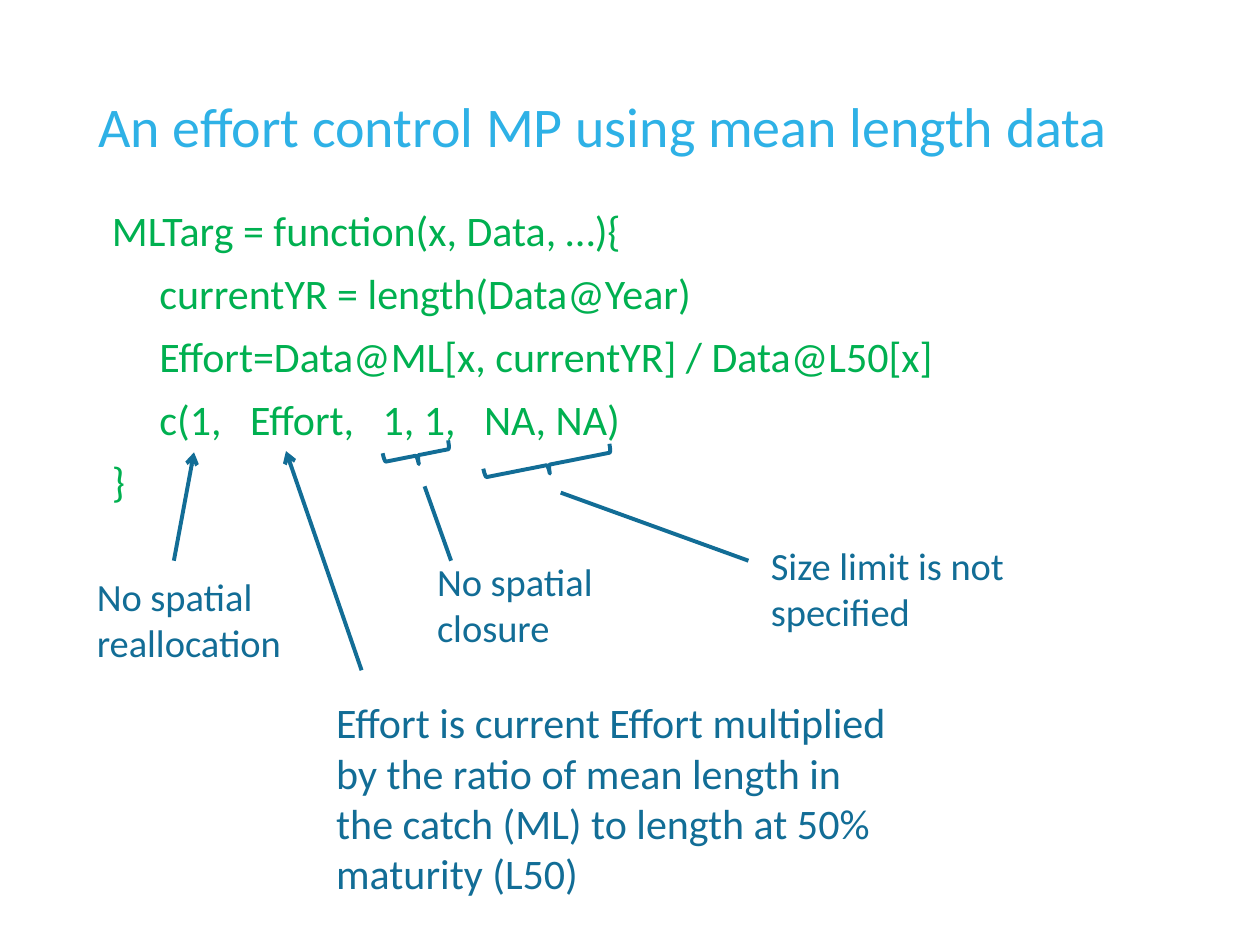
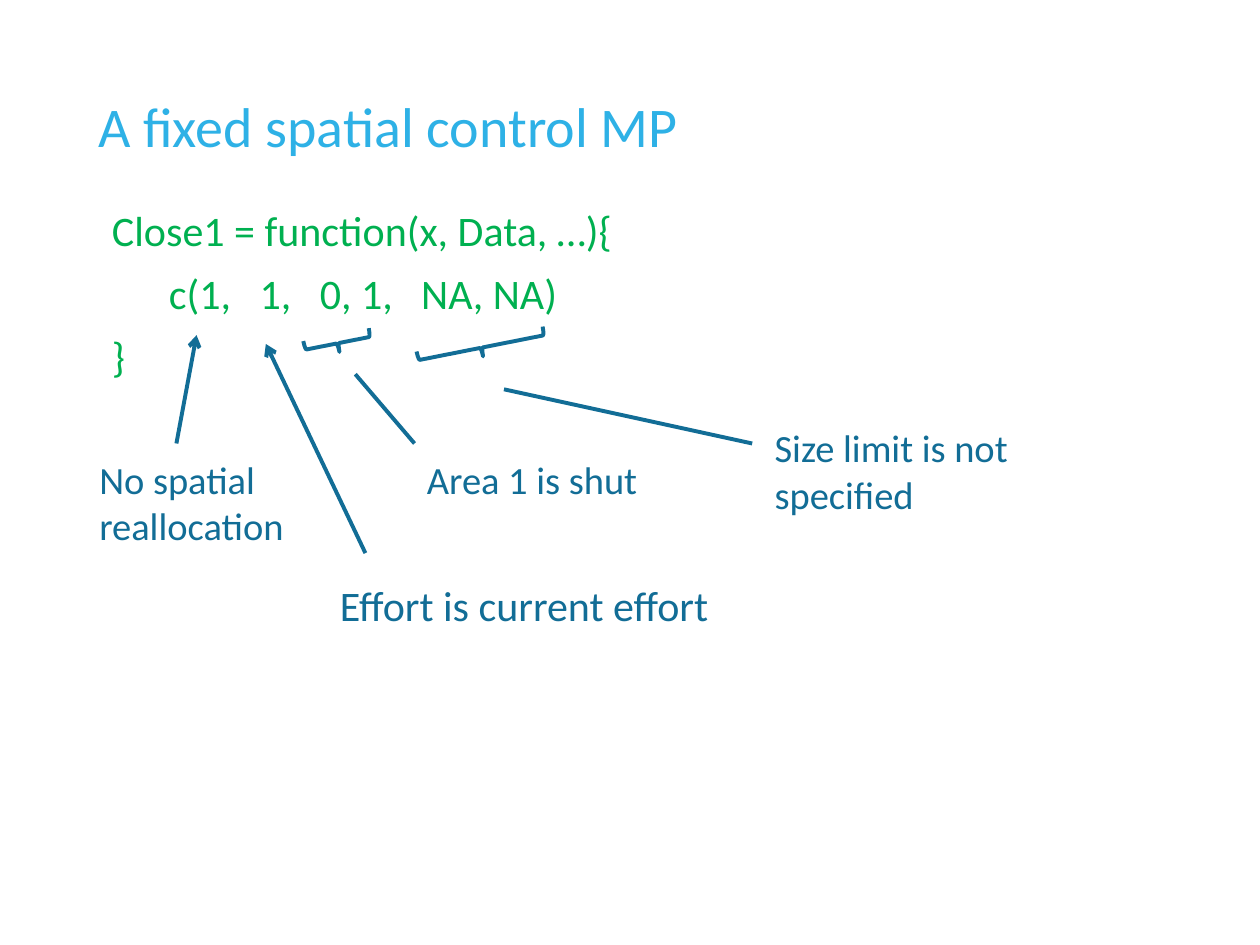
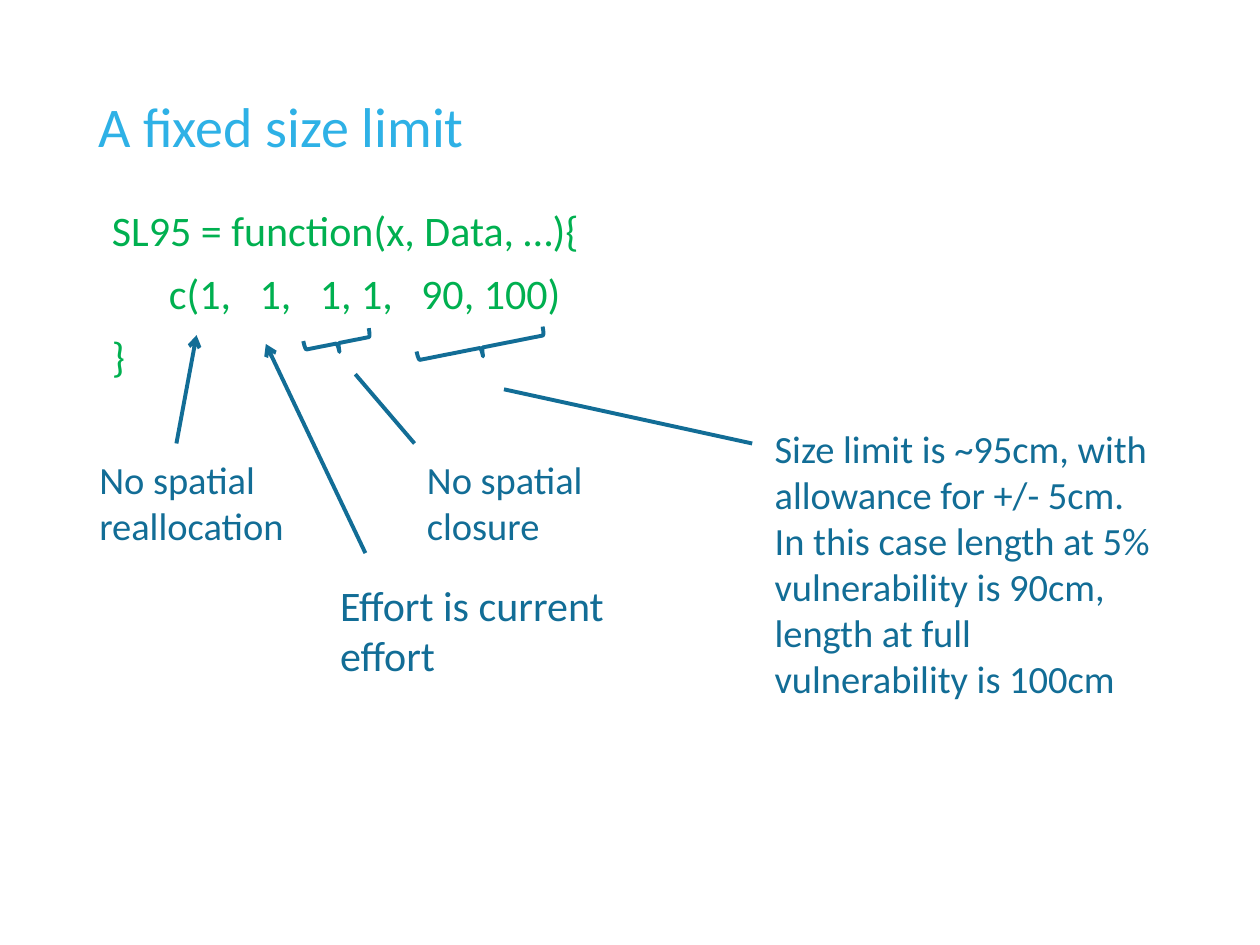
"""Build three slides that annotate the code of management procedures."""
from dataclasses import dataclass

from lxml import etree
from pptx import Presentation
from pptx.dml.color import RGBColor
from pptx.enum.shapes import MSO_CONNECTOR, MSO_SHAPE
from pptx.enum.text import MSO_ANCHOR, MSO_AUTO_SIZE, PP_ALIGN
from pptx.oxml.ns import qn
from pptx.util import Inches, Pt

STRAIGHT = MSO_CONNECTOR.STRAIGHT
BRACE = MSO_SHAPE.RIGHT_BRACE
MIDDLE, TOP = MSO_ANCHOR.MIDDLE, MSO_ANCHOR.TOP
FIXED, GROW = MSO_AUTO_SIZE.NONE, MSO_AUTO_SIZE.SHAPE_TO_FIT_TEXT
LEFT = PP_ALIGN.LEFT
TITLE_ONLY = 5


@dataclass(frozen=True)
class Theme:
    font: str = "Calibri"
    title: RGBColor = RGBColor(0x2E, 0xB1, 0xE6)
    code: RGBColor = RGBColor(0x00, 0xB0, 0x50)
    note: RGBColor = RGBColor(0x12, 0x6D, 0x96)
    title_size: int = 32
    code_size: int = 24
    effort_size: int = 24
    note_size: int = 22
    line_width: float = 2.25
    line_spacing: float = 0.9
    code_gap: int = 10


THEME = Theme()
TITLE_AREA = (0.68, 0.56, 8.62, 0.94)
CODE_AREA = (0.79, 1.62, 8.39, 2.6)
BRACE_WIDTH, BRACE_TURN = 0.14, 78.8

LONG_CODE_MARKS = {
    "arrows": [((1.38, 4.45), (1.54, 3.59)), ((2.87, 5.32), (2.27, 3.58))],
    "leaders": [((5.94, 4.45), (4.45, 3.91)), ((3.58, 4.45), (3.37, 3.86))],
    "braces": [(3.24, 3.35, 0.53), (4.28, 3.18, 1.02)],
}
SHORT_CODE_MARKS = {
    "arrows": [((1.4, 3.52), (1.56, 2.66)), ((2.9, 4.39), (2.11, 2.73))],
    "leaders": [((5.97, 3.52), (4, 3.09)), ((3.29, 3.52), (2.82, 2.97))],
    "braces": [(2.61, 2.46, 0.53), (3.75, 2.25, 1.02)],
}

SLIDES = [
    {
        "title": "An effort control MP using mean length data",
        "code": [
            "MLTarg = function(x, Data, …){",
            "     currentYR = length(Data@Year)",
            "     Effort=Data@ML[x, currentYR] / Data@L50[x]",
            "     c(1,   Effort,   1, 1,   NA, NA)",
            "}",
        ],
        "effort": ((2.57, 5.48, 4.57, 1.72),
                   ["Effort is current Effort multiplied by the ratio of mean length "
                    "in the catch (ML) to length at 50% maturity (L50)"]),
        "notes": [
            ((0.67, 4.5, 1.73, 0.84), ["No spatial reallocation"]),
            ((3.37, 4.38, 1.81, 0.84), ["No spatial closure"]),
            ((6.02, 4.25, 2.13, 0.84), ["Size limit is not specified"]),
        ],
        "marks": LONG_CODE_MARKS,
    },
    {
        "title": "A fixed spatial control MP",
        "code": [
            "Close1 = function(x, Data, …){",
            "      c(1,   1,   0, 1,   NA, NA)",
            "}",
        ],
        "effort": ((2.6, 4.55, 4.57, 0.5), ["Effort is current effort"]),
        "notes": [
            ((0.69, 3.57, 1.73, 0.84), ["No spatial reallocation"]),
            ((3.29, 3.57, 2.05, 0.47), ["Area 1 is shut"]),
            ((6.05, 3.32, 2.13, 0.84), ["Size limit is not specified"]),
        ],
        "marks": SHORT_CODE_MARKS,
    },
    {
        "title": "A fixed size limit",
        "code": [
            "SL95 = function(x, Data, …){",
            "      c(1,   1,   1, 1,   90, 100)",
            "}",
        ],
        "effort": ((2.6, 4.55, 2.88, 0.91), ["Effort is current effort"]),
        "notes": [
            ((0.69, 3.57, 1.73, 0.84), ["No spatial reallocation"]),
            ((3.29, 3.57, 2.05, 0.84), ["No spatial closure"]),
            ((6.05, 3.32, 3.2, 2.32),
             ["Size limit is ~95cm, with allowance for +/- 5cm.",
              "In this case length at 5% vulnerability is 90cm, "
              "length at full vulnerability is 100cm"]),
        ],
        "marks": SHORT_CODE_MARKS,
    },
]


def write(box, lines, size, color, spacing=1.0, gap=0, anchor=TOP, fit=FIXED):
    frame = box.text_frame
    frame.word_wrap = True
    frame.auto_size = fit
    frame.vertical_anchor = anchor
    for index, line in enumerate(lines):
        para = frame.add_paragraph() if index else frame.paragraphs[0]
        para.alignment = LEFT
        para.line_spacing = spacing
        para.space_before = Pt(gap if index else 0)
        span = para.add_run()
        span.text = line
        span.font.name = THEME.font
        span.font.size = Pt(size)
        span.font.color.rgb = color


def add_title(page, title):
    box = page.shapes.title
    box.left, box.top, box.width, box.height = map(Inches, TITLE_AREA)
    write(box, [title], THEME.title_size, THEME.title, THEME.line_spacing, anchor=MIDDLE)


def add_text(page, area, lines, size, color, **style):
    write(page.shapes.add_textbox(*map(Inches, area)), lines, size, color, **style)


def style_line(line):
    line.color.rgb = THEME.note
    line.width = Pt(THEME.line_width)


def add_pointer(page, start, end, arrow):
    pointer = page.shapes.add_connector(STRAIGHT, *map(Inches, start + end))
    style_line(pointer.line)
    if arrow:
        etree.SubElement(pointer.line._get_or_add_ln(), qn("a:tailEnd"), type="arrow")
    etree.SubElement(pointer._element.spPr, qn("a:effectLst"))


def add_brace(page, left, top, height):
    area = (left, top, BRACE_WIDTH, height)
    brace = page.shapes.add_shape(BRACE, *map(Inches, area))
    brace.rotation = BRACE_TURN
    brace.shadow.inherit = False
    brace.fill.background()
    style_line(brace.line)


def add_marks(page, marks):
    for start, end in marks["arrows"]:
        add_pointer(page, start, end, arrow=True)
    for start, end in marks["leaders"]:
        add_pointer(page, start, end, arrow=False)
    for brace in marks["braces"]:
        add_brace(page, *brace)


def main():
    deck = Presentation()
    deck.slide_width, deck.slide_height = Inches(10), Inches(7.5)
    for content in SLIDES:
        page = deck.slides.add_slide(deck.slide_layouts[TITLE_ONLY])
        add_title(page, content["title"])
        add_text(page, CODE_AREA, content["code"], THEME.code_size, THEME.code,
                 spacing=THEME.line_spacing, gap=THEME.code_gap)
        add_text(page, *content["effort"], THEME.effort_size, THEME.note, fit=GROW)
        for area, lines in content["notes"]:
            add_text(page, area, lines, THEME.note_size, THEME.note, fit=GROW)
        add_marks(page, content["marks"])
    deck.save("out.pptx")


if __name__ == "__main__":
    main()
